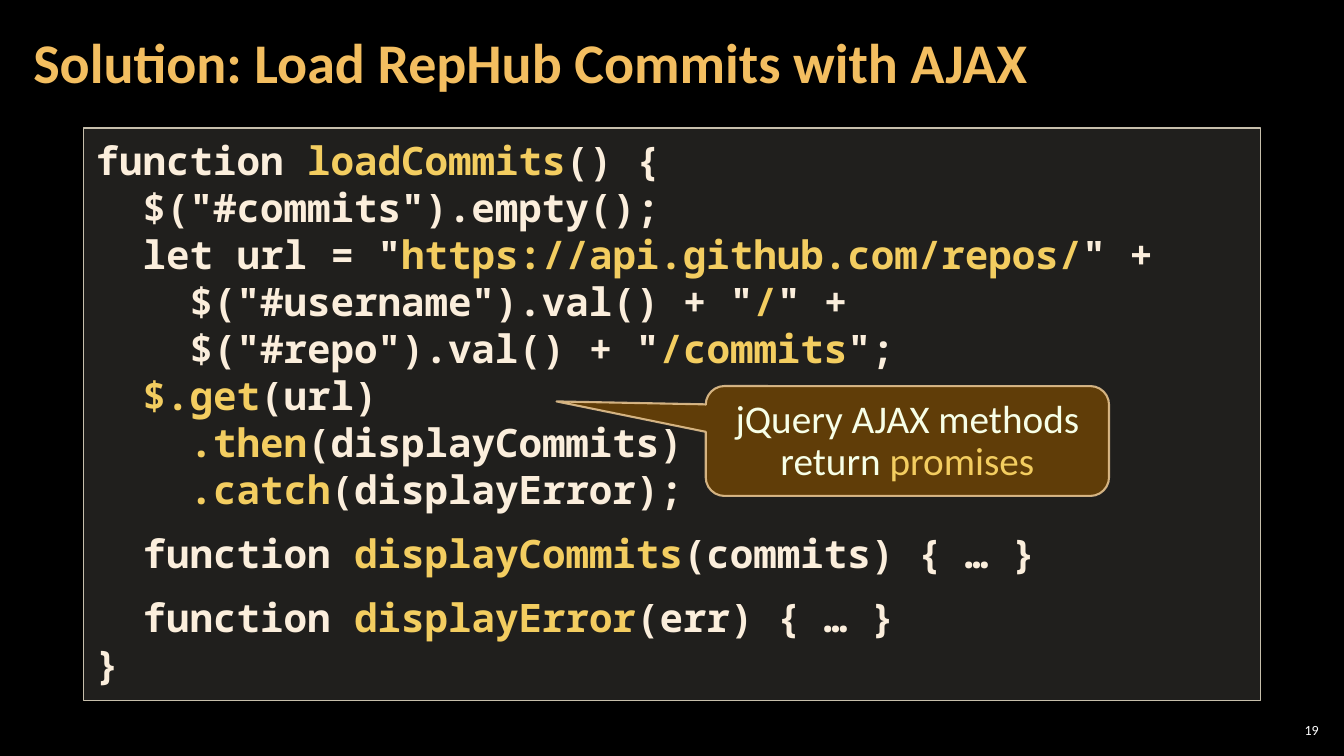
"""Build the slide that shows how to load commits with AJAX."""
from dataclasses import dataclass

from lxml import etree
from pptx import Presentation
from pptx.dml.color import RGBColor
from pptx.enum.shapes import MSO_SHAPE
from pptx.enum.text import MSO_ANCHOR, MSO_AUTO_SIZE, PP_ALIGN
from pptx.oxml.ns import qn
from pptx.util import Inches, Pt

LEFT, CENTER, RIGHT = PP_ALIGN.LEFT, PP_ALIGN.CENTER, PP_ALIGN.RIGHT
TOP, MIDDLE = MSO_ANCHOR.TOP, MSO_ANCHOR.MIDDLE
NO_FIT, GROW = MSO_AUTO_SIZE.NONE, MSO_AUTO_SIZE.SHAPE_TO_FIT_TEXT
RECTANGLE = MSO_SHAPE.RECTANGLE
CALLOUT = MSO_SHAPE.ROUNDED_RECTANGULAR_CALLOUT
TITLE_ONLY = 5
MARK = "|"


@dataclass(frozen=True)
class Theme:
    """Colours, fonts and type sizes of the slide."""
    background: str = "000000"
    title: str = "F3BE60"
    code: str = "FBEEDC"
    highlight: str = "F3CD60"
    panel: str = "D9D5C7"
    panel_edge: str = "C7BFAC"
    note: str = "F7FFE7"
    note_fill: str = "643F07"
    note_edge: str = "F8D49E"
    number: str = "FFFFFF"
    body_font: str = "Calibri"
    code_font: str = "Noto Sans Mono"
    title_size: int = 40
    body_size: int = 28
    number_size: int = 10


CODE = [
    ("function |loadCommits|() {", 0),
    ('  $("#commits").empty();', 0),
    ('  let url = "|https://api.github.com/repos/|" +', 0),
    ('    $("#username").val() + "|/|" +', 0),
    ('    $("#repo").val() + "|/commits|";', 0),
    ("  |$.get|(url)", 0),
    ("    |.then|(displayCommits)", 0),
    ("    |.catch|(displayError);", 0),
    ("  function |displayCommits|(commits) { … }", 12),
    ("  function |displayError|(err) { … }", 12),
    ("}", 0),
]


class SlideBuilder:
    """Holds the theme and the current slide."""

    def __init__(self, presentation, theme):
        """Add a title-only slide with the theme background."""
        self.theme = theme
        self.slide = presentation.slides.add_slide(
            presentation.slide_layouts[TITLE_ONLY])
        self.paint(self.slide.background.fill, theme.background)

    def apply(self, target, values):
        """Set each attribute in values on target."""
        for attribute, value in values.items():
            setattr(target, attribute, value)

    def paint(self, fill, color, opacity=100):
        """Give a fill a solid colour with an opacity in percent."""
        fill.solid()
        fill.fore_color.rgb = RGBColor.from_string(color)
        if opacity < 100:
            tint = next(fill._xPr.iter(qn("a:srgbClr")))
            etree.SubElement(tint, qn("a:alpha")).set("val", str(opacity * 1000))

    def set_text(self, holder, lines, color, font, frame, paragraph=None):
        """Fill a shape with lines of text, with marked parts highlighted."""
        text = holder.text_frame
        self.apply(text, {"word_wrap": True, "auto_size": NO_FIT, **frame})
        for index, (line, space_before) in enumerate(lines):
            row = text.paragraphs[0] if index == 0 else text.add_paragraph()
            self.apply(row, {"alignment": LEFT, **(paragraph or {})})
            if space_before:
                row.space_before = Pt(space_before)
            for position, part in enumerate(line.split(MARK)):
                if not part:
                    continue
                run = row.add_run()
                run.text = part
                self.apply(run.font, font)
                shade = self.theme.highlight if position % 2 else color
                run.font.color.rgb = RGBColor.from_string(shade)

    def frame(self, anchor, side, end):
        """Return the anchor and insets of a text frame."""
        return {"vertical_anchor": anchor,
                "margin_left": Inches(side), "margin_right": Inches(side),
                "margin_top": Inches(end), "margin_bottom": Inches(end)}

    def title(self, wording, left, top, width, height):
        """Place and format the title placeholder."""
        heading = self.slide.shapes.title
        self.apply(heading, {"left": Inches(left), "top": Inches(top),
                             "width": Inches(width), "height": Inches(height)})
        self.set_text(heading, [(wording, 0)], self.theme.title,
                      {"name": self.theme.body_font, "bold": True,
                       "size": Pt(self.theme.title_size)},
                      self.frame(MIDDLE, 0.12, 0.04), {"line_spacing": 0.9})

    def shape(self, kind, box, fill, edge, edge_width, opacity, edge_opacity=100):
        """Add a filled and outlined preset shape."""
        outline = self.slide.shapes.add_shape(kind, *map(Inches, box))
        outline.shadow.inherit = False
        self.paint(outline.fill, fill, opacity)
        outline.line.width = Pt(edge_width)
        self.paint(outline.line.fill, edge, edge_opacity)
        return outline

    def code_panel(self, lines, *box):
        """Add the panel with the code listing."""
        theme = self.theme
        panel = self.shape(RECTANGLE, box, theme.panel, theme.panel_edge, 1, 15)
        self.set_text(panel, lines, theme.code,
                      {"name": theme.code_font, "bold": True,
                       "size": Pt(theme.body_size)},
                      {**self.frame(TOP, 0.12, 0.08), "auto_size": GROW})

    def callout(self, wording, adjustments, *box):
        """Add a speech callout that points into the code."""
        theme = self.theme
        note = self.shape(CALLOUT, box, theme.note_fill, theme.note_edge,
                          1.5, 95, 80)
        for index, value in enumerate(adjustments):
            note.adjustments[index] = value
        self.set_text(note, [(wording, 0)], theme.note,
                      {"name": theme.body_font, "size": Pt(theme.body_size)},
                      self.frame(MIDDLE, 0.1, 0.05),
                      {"alignment": CENTER, "line_spacing": Pt(30)})

    def page_number(self, number, *box):
        """Add the page number."""
        label = self.slide.shapes.add_textbox(*map(Inches, box))
        self.set_text(label, [(number, 0)], self.theme.number,
                      {"name": self.theme.body_font,
                       "size": Pt(self.theme.number_size)},
                      self.frame(MIDDLE, 0.04, 0.04), {"alignment": RIGHT})


def main():
    """Build and save the presentation."""
    presentation = Presentation()
    presentation.slide_width = Inches(13.33)
    presentation.slide_height = Inches(7.5)
    builder = SlideBuilder(presentation, Theme())
    builder.page_number("19", 12.65, 7.14, 0.47, 0.21)
    builder.title("Solution: Load RepHub Commits with AJAX",
                  0.21, 0.04, 10.47, 1.21)
    builder.code_panel(CODE, 0.83, 1.27, 11.67, 5.68)
    builder.callout("jQuery AJAX methods return |promises",
                    (-0.87, -0.36, 0.17), 7, 3.83, 4, 1.09)
    presentation.save("out.pptx")


if __name__ == "__main__":
    main()
